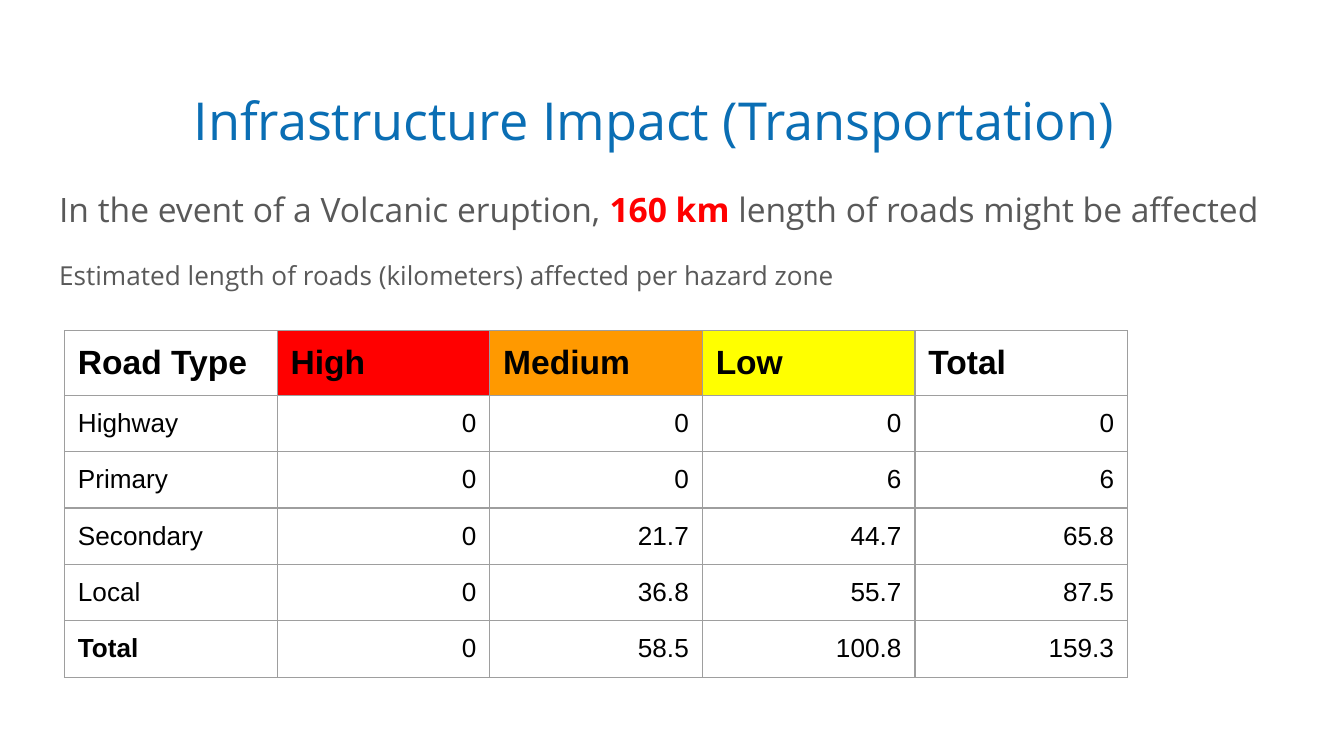
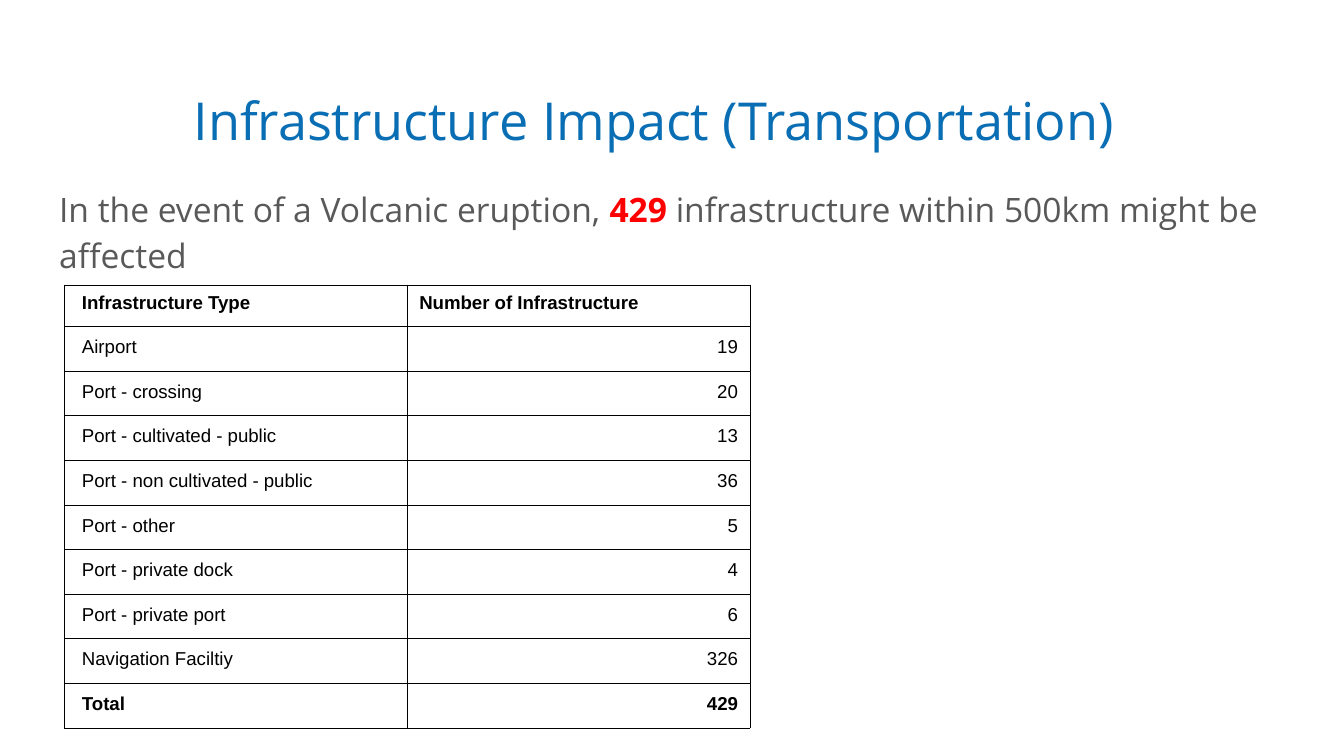
from dataclasses import dataclass

from lxml.etree import SubElement
from pptx import Presentation
from pptx.dml.color import RGBColor
from pptx.enum.text import MSO_ANCHOR, MSO_AUTO_SIZE, PP_ALIGN
from pptx.oxml.ns import qn
from pptx.util import Inches, Pt


@dataclass(frozen=True)
class Theme:
    head: str = "Open Sans"
    data: str = "Arial"
    blue: str = "0A6EB4"
    gray: str = "595959"
    black: str = "000000"
    red: str = "FF0000"
    amber: str = "FF9900"
    yellow: str = "FFFF00"
    rule: str = "9E9E9E"
    title: int = 28
    lead: int = 18
    note: int = 14
    small: int = 10


THEME = Theme()


@dataclass(frozen=True)
class Grid:
    """Look of one table; lengths in inches, line width in points."""
    left: float
    top: float
    cols: list
    rows: list
    line: str
    width: float
    head: int
    size: int
    pad: tuple = (0.1, 0.1, 0.1, 0.1)
    anchor: MSO_ANCHOR = MSO_ANCHOR.TOP
    indent: tuple = (0, 0)
    space: float = 1.0
    fills: tuple = ()
    bold_sum: bool = False


def apply(item, values):
    for name, value in values.items():
        setattr(item, name, value)


def inset(item, pad):
    sides = ("left", "top", "right", "bottom")
    apply(item, {f"margin_{s}": Inches(p) for s, p in zip(sides, pad)})


def edge(cell, color, width):
    props = cell._tc.get_or_add_tcPr()
    for side in ("lnL", "lnR", "lnT", "lnB"):
        line = SubElement(props, qn(f"a:{side}"), w=str(Pt(width)))
        fill = SubElement(line, qn("a:solidFill"))
        SubElement(fill, qn("a:srgbClr"), val=color)


class Deck:
    def __init__(self, theme):
        self.theme = theme
        self.show = Presentation()
        apply(self.show, {"slide_width": Inches(10),
                          "slide_height": Inches(10 * 9 / 16)})
        self.slide = None

    def add_slide(self, title):
        self.slide = self.show.slides.add_slide(self.show.slide_layouts[1])
        t = self.theme
        frame = self.place(self.slide.shapes.title, (1.34, 0.49, 8.32, 0.63),
                           MSO_AUTO_SIZE.NONE)
        para = frame.paragraphs[0]
        apply(para, {"alignment": PP_ALIGN.LEFT, "line_spacing": 1.15,
                     "space_after": Pt(16)})
        self.run(para, title, t.title, t.blue, t.head)

    def place(self, shape, box, fit):
        names = ("left", "top", "width", "height")
        apply(shape, {n: Inches(v) for n, v in zip(names, box)})
        frame = shape.text_frame
        apply(frame, {"word_wrap": True, "auto_size": fit,
                      "vertical_anchor": MSO_ANCHOR.TOP})
        inset(frame, (0.1,) * 4)
        return frame

    def run(self, para, text, size, color, face, bold=False):
        run = para.add_run()
        run.text = text
        apply(run.font, {"size": Pt(size), "name": face, "bold": bold})
        run.font.color.rgb = RGBColor.from_string(color)

    def body(self, *lines):
        """Fill the body; a line is (size, parts), its odd parts stressed."""
        t = self.theme
        frame = self.place(self.slide.placeholders[1],
                           (0.34, 1.26, 9.32, 4.16),
                           MSO_AUTO_SIZE.TEXT_TO_FIT_SHAPE)
        for i, (size, parts) in enumerate(lines):
            para = frame.add_paragraph() if i else frame.paragraphs[0]
            props = para._p.get_or_add_pPr()
            props.set("marL", "0")
            props.set("indent", "0")
            SubElement(props, qn("a:buNone"))
            apply(para, {"line_spacing": 1.0 if i else 1.15,
                         "space_before": Pt(16 if i else 0)})
            for j, part in enumerate(parts):
                stress = j % 2 == 1
                self.run(para, part, size, t.red if stress else t.gray,
                         t.head, stress)

    def table(self, grid, data):
        frame = self.slide.shapes.add_table(
            len(grid.rows), len(grid.cols), Inches(grid.left),
            Inches(grid.top), Inches(sum(grid.cols)), Inches(sum(grid.rows)))
        table = frame.table
        apply(table, {"first_row": False, "horz_banding": False})
        for col, width in zip(table.columns, grid.cols):
            col.width = Inches(width)
        for row, height in zip(table.rows, grid.rows):
            row.height = Inches(height)
        for r, row in enumerate(data):
            for c, text in enumerate(row):
                self.cell(table.cell(r, c), grid, text, r, c, len(data) - 1)

    def cell(self, cell, grid, text, r, c, last):
        t = self.theme
        edge(cell, grid.line, grid.width)
        inset(cell, grid.pad)
        cell.vertical_anchor = grid.anchor
        color = grid.fills[c] if r == 0 and grid.fills else None
        if color:
            cell.fill.solid()
            cell.fill.fore_color.rgb = RGBColor.from_string(color)
        else:
            cell.fill.background()
        para = cell.text_frame.paragraphs[0]
        number = r > 0 and c > 0
        shift = Inches(grid.indent[min(c, 1)])
        if shift:
            props = para._p.get_or_add_pPr()
            for name in ("marL", "marR"):
                props.set(name, str(shift))
        apply(para, {"alignment": PP_ALIGN.RIGHT if number else PP_ALIGN.LEFT,
                     "line_spacing": grid.space if number else 1.0})
        bold = r == 0 or (r == last and (c == 0 or grid.bold_sum))
        self.run(para, text, grid.size if r else grid.head, t.black,
                 t.data, bold)


TITLE = "Infrastructure Impact (Transportation)"
EVENT = "In the event of a Volcanic eruption, "

ROADS = [
    ("Road Type", "High", "Medium", "Low", "Total"),
    ("Highway", "0", "0", "0", "0"),
    ("Primary", "0", "0", "6", "6"),
    ("Secondary", "0", "21.7", "44.7", "65.8"),
    ("Local", "0", "36.8", "55.7", "87.5"),
    ("Total", "0", "58.5", "100.8", "159.3"),
]

SITES = [
    ("Infrastructure Type", "Number of Infrastructure"),
    ("Airport", "19"),
    ("Port - crossing", "20"),
    ("Port - cultivated - public", "13"),
    ("Port - non cultivated - public", "36"),
    ("Port - other", "5"),
    ("Port - private dock", "4"),
    ("Port - private port", "6"),
    ("Navigation Faciltiy", "326"),
    ("Total", "429"),
]


def roads(deck):
    t = deck.theme
    deck.add_slide(TITLE)
    deck.body(
        (t.lead, (EVENT, "160 km", " length of roads might be affected")),
        (t.note, ("Estimated length of roads (kilometers) affected "
                  "per hazard zone",)))
    deck.table(Grid(0.48, 2.46, [7.91 / 5] * 5, [0.42] * 6, t.rule, 0.75,
                    t.lead, t.note,
                    fills=(None, t.red, t.amber, t.yellow, None)), ROADS)


def sites(deck):
    t = deck.theme
    deck.add_slide(TITLE)
    deck.body((t.lead, (EVENT, "429 ",
                        "infrastructure within 500km might be affected")))
    deck.table(Grid(0.48, 2.12, [2.55] * 2, [0.31] + [2.99 / 9] * 9,
                    t.black, 0.5, t.small, t.small,
                    pad=(0.01, 0.01, 0.01, 0.1), anchor=MSO_ANCHOR.BOTTOM,
                    indent=(0.12, 0.08), space=1.15, bold_sum=True), SITES)


def main():
    deck = Deck(THEME)
    roads(deck)
    sites(deck)
    deck.show.save("out.pptx")


if __name__ == "__main__":
    main()
